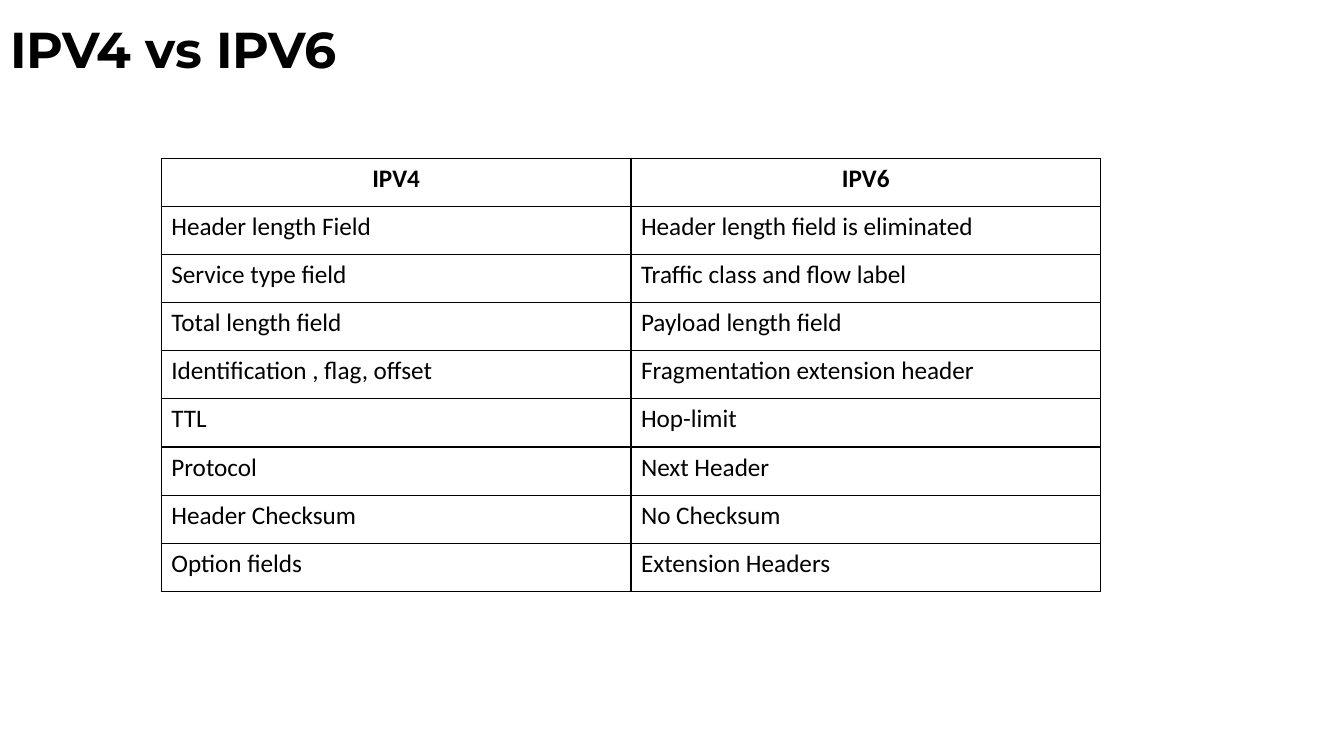
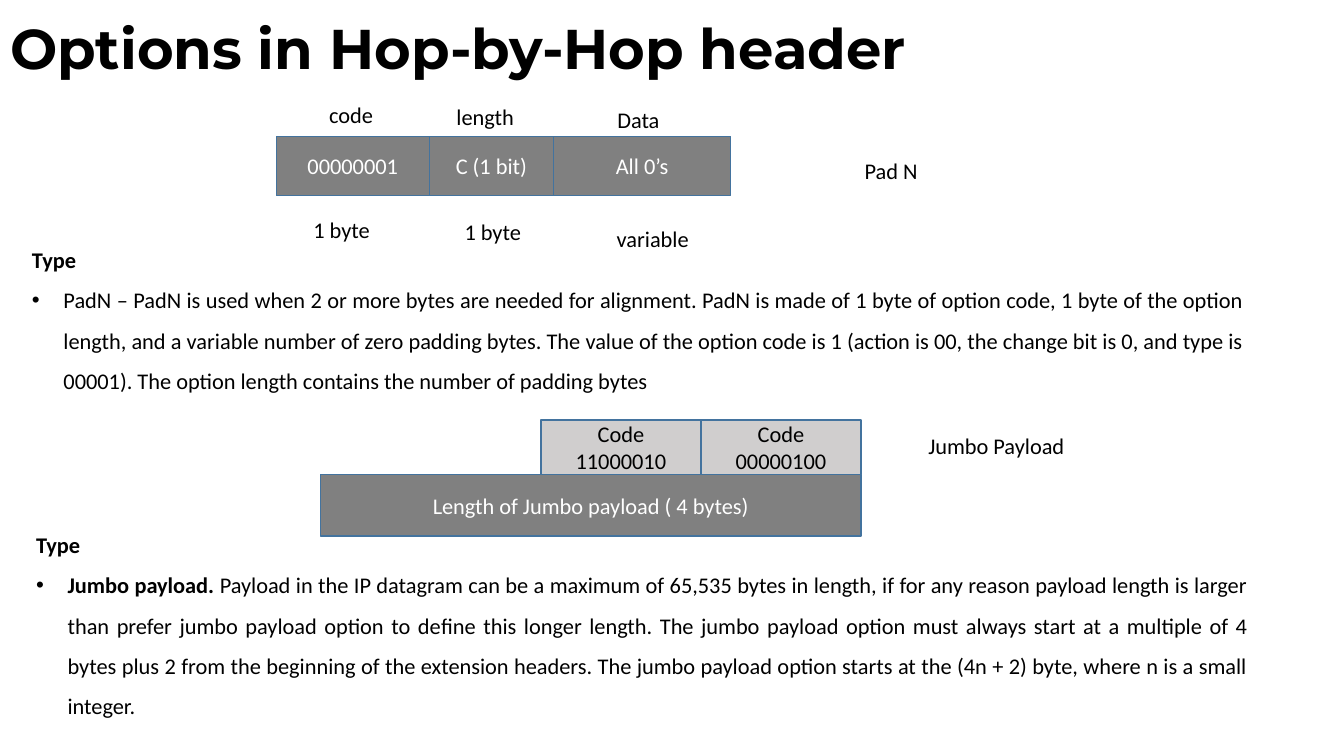
from dataclasses import dataclass
from itertools import pairwise

from lxml import etree
from pptx import Presentation
from pptx import util as u
from pptx.dml import color
from pptx.enum import shapes, text
from pptx.oxml import ns

Pt = u.Pt
LEFT, MID, JUST = (text.PP_ALIGN.LEFT, text.PP_ALIGN.CENTER,
                   text.PP_ALIGN.JUSTIFY)


@dataclass(frozen=True)
class Theme:
    black: str = "000000"
    white: str = "FFFFFF"
    dark: str = "808080"
    light: str = "D0CECE"
    edge: str = "43739E"
    head: str = "Montserrat"
    body: str = "Calibri"
    small: int = 16
    cell: int = 18
    title: int = 36
    large: int = 40


T = Theme()


def rgb(code):
    return color.RGBColor.from_string(code)


class Deck:
    def __init__(self):
        self.prs = Presentation()
        self.prs.slide_width, self.prs.slide_height = Pt(960), Pt(540)
        self.slide = None

    def style(self, par, size=T.small, ink=T.black, bold=False, face=T.body,
              align=LEFT):
        par.alignment = align
        for run in par.runs:
            font = run.font
            font.name, font.size, font.bold = face, Pt(size), bold
            font.color.rgb = rgb(ink)

    def page(self, title, size):
        self.slide = self.prs.slides.add_slide(self.prs.slide_layouts[5])
        head = self.slide.shapes.title
        head.left, head.top, head.width, head.height = (
            Pt(0), Pt(0), Pt(798), Pt(74))
        frame = head.text_frame
        frame.text = title
        frame.auto_size = text.MSO_AUTO_SIZE.NONE
        frame.vertical_anchor = text.MSO_ANCHOR.MIDDLE
        par = frame.paragraphs[0]
        par.line_spacing = 0.9
        self.style(par, size, bold=True, face=T.head)

    def frame(self, x, y, w, h):
        box = self.slide.shapes.add_textbox(Pt(x), Pt(y), Pt(w), Pt(h))
        box.text_frame.word_wrap = True
        return box.text_frame

    def label(self, words, x, y, w=68, align=LEFT):
        frame = self.frame(x, y, w, 26.6)
        frame.text = words
        self.style(frame.paragraphs[0], align=align)

    def group(self):
        return self.slide.shapes.add_group_shape()

    def field(self, group, words, x, y, w, h, fill=T.dark, ink=T.white):
        box = group.shapes.add_shape(shapes.MSO_SHAPE.RECTANGLE,
                                     Pt(x), Pt(y), Pt(w), Pt(h))
        box.shadow.inherit = False
        box.fill.solid()
        box.fill.fore_color.rgb = rgb(fill)
        box.line.color.rgb = rgb(T.edge)
        box.line.width = Pt(1)
        frame = box.text_frame
        frame.text = words
        frame.word_wrap = True
        frame.vertical_anchor = text.MSO_ANCHOR.MIDDLE
        for par in frame.paragraphs:
            self.style(par, ink=ink, align=MID)

    def note(self, x, y, h, lead, body, space):
        """Bold "Type" heading above one bullet with an optional bold lead."""
        frame = self.frame(x, y, 880, h)
        frame.text = "Type"
        head = frame.paragraphs[0]
        head.line_spacing = space
        self.style(head, bold=True, align=JUST)
        par = frame.add_paragraph()
        par.line_spacing = 1.5
        self.bullet(par)
        for words in filter(None, (lead, body)):
            par.add_run().text = words
        self.style(par, align=JUST)
        if lead:
            par.runs[0].font.bold = True

    def bullet(self, par):
        props = par._p.get_or_add_pPr()
        props.set("marL", str(Pt(22.5)))
        props.set("indent", str(Pt(-22.5)))
        etree.SubElement(props, ns.qn("a:buFont"), typeface="Arial")
        etree.SubElement(props, ns.qn("a:buChar"), char="•")

    def border(self, cell):
        props = cell._tc.get_or_add_tcPr()
        for pos, side in enumerate("LRTB"):
            line = etree.Element(ns.qn("a:ln" + side), w=str(Pt(1)))
            fill = etree.SubElement(line, ns.qn("a:solidFill"))
            etree.SubElement(fill, ns.qn("a:srgbClr"), val=T.black)
            props.insert(pos, line)

    def table(self, rows, x, y, w, row):
        cols = len(rows[0])
        grid = self.slide.shapes.add_table(
            len(rows), cols, Pt(x), Pt(y), Pt(w), Pt(row * len(rows))).table
        grid.first_row = grid.horz_banding = False
        for r, words in enumerate(rows):
            grid.rows[r].height = Pt(row)
            for c, word in enumerate(words):
                cell = grid.cell(r, c)
                cell.text = word
                cell.fill.background()
                self.border(cell)
                self.style(cell.text_frame.paragraphs[0], T.cell,
                           bold=r == 0, align=LEFT if r else MID)


def compare(deck):
    deck.page("IPV4 vs IPV6", T.title)
    deck.table([
        ("IPV4", "IPV6"),
        ("Header length Field", "Header length field is eliminated"),
        ("Service type field", "Traffic class and flow label"),
        ("Total length field", "Payload length field"),
        ("Identification , flag, offset", "Fragmentation extension header"),
        ("TTL", "Hop-limit"),
        ("Protocol", "Next Header"),
        ("Header Checksum", "No Checksum"),
        ("Option fields", "Extension Headers"),
    ], 115.2, 113, 671, 34.4)


def options(deck):
    deck.page("Options in Hop-by-Hop header", T.large)

    # Pad N fields
    pad = deck.group()
    edges = pairwise((197.3, 306.7, 395.3, 522))
    for words, (x, end) in zip(("00000001", "C (1 bit)", "All 0’s"), edges):
        deck.field(pad, words, x, 97.3, end - x, 42.4)
    for words, x, y in (("code", 216.7, 68.4), ("length", 312.5, 69.8),
                        ("Data", 422, 72)):
        deck.label(words, x, y, align=MID)
    for words, x, y in (("1 byte", 216.7, 151.2), ("1 byte", 324.7, 152.6),
                        ("variable", 433.4, 157)):
        deck.label(words, x, y)
    deck.label("Pad N", 610.5, 108.7, 166)
    deck.note(15.8, 162.7, 124, "", "PadN – PadN is used when 2 or more "
              "bytes are needed for alignment. PadN is made of 1 byte of "
              "option code, 1 byte of the option length, and a variable "
              "number of zero padding bytes. The value of the option code is "
              "1 (action is 00, the change bit is 0, and type is 00001). The "
              "option length contains the number of padding bytes", 1.5)

    # Jumbo payload fields
    jumbo = deck.group()
    deck.field(jumbo, "Length of Jumbo payload ( 4 bytes)",
               229, 339.1, 386, 43.9)
    for pos, code in enumerate(("11000010", "00000100")):
        deck.field(jumbo, "Code\n" + code, 386.4 + pos * 114.3, 300,
                   114.3, 39.1, T.light, T.black)
    deck.label("Jumbo Payload", 656, 305.3, 166)
    deck.note(18.7, 375.8, 143, "Jumbo payload. ", "Payload in the IP "
              "datagram can be a maximum of 65,535 bytes in length, if for "
              "any reason payload length is larger than prefer jumbo payload "
              "option to deﬁne this longer length. The jumbo payload option "
              "must always start at a multiple of 4 bytes plus 2 from the "
              "beginning of the extension headers. The jumbo payload option "
              "starts at the (4n + 2) byte, where n is a small integer.", 1.0)


def main():
    deck = Deck()
    compare(deck)
    options(deck)
    deck.prs.save("out.pptx")


if __name__ == "__main__":
    main()
